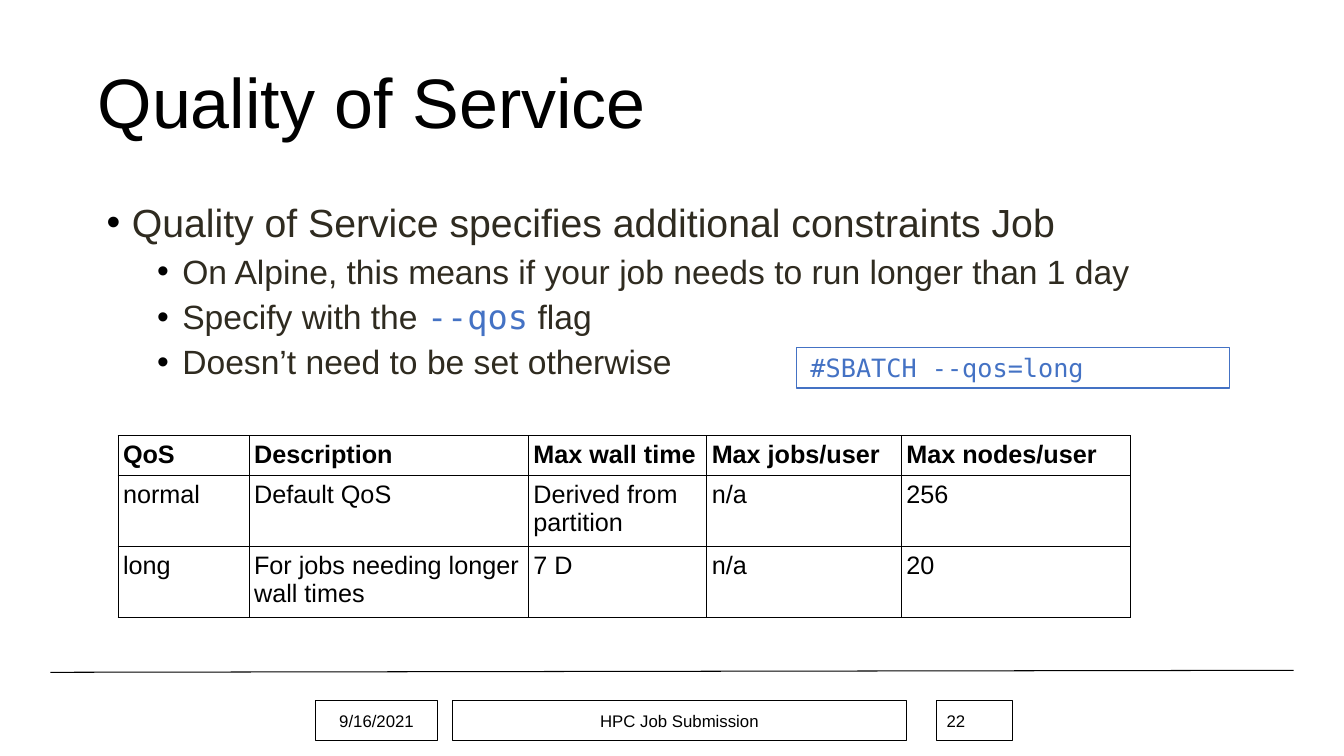
"""Build the Quality of Service slide."""
from pptx import Presentation
from pptx.dml.color import RGBColor
from pptx.enum.shapes import MSO_CONNECTOR, MSO_SHAPE
from pptx.enum.text import MSO_ANCHOR, PP_ALIGN
from pptx.oxml import parse_xml
from pptx.oxml.ns import nsdecls
from pptx.util import Inches, Pt

COLORS = {"black": "000000", "body": "2F2B20", "code": "4472C4"}
SANS, MONO = "Arial", "DejaVu Sans Mono"

TITLE = "Quality of Service"
BULLETS = [
    (0, [("Quality of Service specifies additional constraints Job", False)]),
    (1, [("On Alpine, this means if your job needs to run longer than 1 day", False)]),
    (1, [("Specify with the ", False), ("--qos", True), (" flag", False)]),
    (1, [("Doesn’t need to be set otherwise", False)]),
]
BULLET_LEVELS = [(28, 0.29, 0), (24, 0.79, 6.5)]
DIRECTIVE = "#SBATCH --qos=long"
QOS_ROWS = [
    ("QoS", "Description", "Max wall time", "Max jobs/user", "Max nodes/user"),
    ("normal", "Default QoS", "Derived from partition", "n/a", "256"),
    ("long", "For jobs needing longer wall times", "7 D", "n/a", "20"),
]
COLUMN_WIDTHS = [1.3, 2.77, 1.77, 1.93, 2.27]
ROW_HEIGHTS = [0.38, 0.65, 0.65]
FOOTER = [
    ("9/16/2021", 3.13, 1.21, PP_ALIGN.CENTER),
    ("HPC Job Submission", 4.49, 4.5, PP_ALIGN.CENTER),
    ("22", 9.29, 0.75, PP_ALIGN.LEFT),
]


def rgb(color):
    return RGBColor.from_string(COLORS[color])


def add_run(paragraph, text, size, color="black", font=SANS, bold=False):
    run = paragraph.add_run()
    run.text = text
    run.font.size = Pt(size)
    run.font.name = font
    run.font.bold = bold
    run.font.color.rgb = rgb(color)


def indent(paragraph, left, first=0):
    properties = paragraph._p.get_or_add_pPr()
    properties.set("marL", str(Inches(left)))
    properties.set("indent", str(Inches(first)))
    return properties


def add_text_frame(slide, left, top, width, height, anchor):
    box = slide.shapes.add_textbox(Inches(left), Inches(top), Inches(width), Inches(height))
    frame = box.text_frame
    frame.word_wrap = True
    frame.vertical_anchor = anchor
    return frame


def add_framed_box(slide, left, top, width, height, color, anchor, align):
    box = slide.shapes.add_shape(
        MSO_SHAPE.RECTANGLE, Inches(left), Inches(top), Inches(width), Inches(height))
    box.shadow.inherit = False
    box.fill.background()
    box.line.color.rgb = rgb(color)
    box.line.width = Pt(0.75)
    box.text_frame.word_wrap = True
    box.text_frame.vertical_anchor = anchor
    paragraph = box.text_frame.paragraphs[0]
    paragraph.alignment = align
    return paragraph


def add_rule(slide):
    rule = slide.shapes.add_connector(
        MSO_CONNECTOR.STRAIGHT, Inches(0.5), Inches(6.67), Inches(12.83), Inches(6.65))
    rule.line.color.rgb = rgb("black")
    rule.line.width = Pt(0.75)
    rule._element.spPr.append(parse_xml(f"<a:effectLst {nsdecls('a')}/>"))


def add_bullets(slide):
    frame = add_text_frame(slide, 0.92, 1.97, 11.83, 4.55, MSO_ANCHOR.TOP)
    for index, (level, pieces) in enumerate(BULLETS):
        paragraph = frame.add_paragraph() if index else frame.paragraphs[0]
        size, left, space = BULLET_LEVELS[level]
        paragraph.level = level
        paragraph.line_spacing = 0.9
        paragraph.space_before = Pt(space)
        properties = indent(paragraph, left, -0.25)
        for bullet in (
            f'<a:buClr {nsdecls("a")}><a:srgbClr val="{COLORS["black"]}"/></a:buClr>',
            f'<a:buFont {nsdecls("a")} typeface="{SANS}"/>',
            f'<a:buChar {nsdecls("a")} char="•"/>',
        ):
            properties.append(parse_xml(bullet))
        for text, is_code in pieces:
            color, font = ("code", MONO) if is_code else ("body", SANS)
            add_run(paragraph, text, size, color, font)


def fill_cell(cell, text, bold):
    cell.margin_left = cell.margin_right = Inches(0.05)
    cell.margin_top = cell.margin_bottom = Inches(0.05)
    properties = cell._tc.get_or_add_tcPr()
    for side in ("lnL", "lnR", "lnT", "lnB"):
        properties.append(parse_xml(
            f'<a:{side} {nsdecls("a")} w="{Pt(0.75)}"><a:solidFill>'
            f'<a:srgbClr val="{COLORS["black"]}"/></a:solidFill></a:{side}>'))
    cell.fill.background()
    add_run(cell.text_frame.paragraphs[0], text, 18, bold=bold)


def add_qos_table(slide):
    table = slide.shapes.add_table(
        len(QOS_ROWS), len(COLUMN_WIDTHS), Inches(1.17), Inches(4.32),
        Inches(sum(COLUMN_WIDTHS)), Inches(sum(ROW_HEIGHTS))).table
    table.first_row = table.horz_banding = False
    for column, width in zip(table.columns, COLUMN_WIDTHS):
        column.width = Inches(width)
    for row, height, texts in zip(table.rows, ROW_HEIGHTS, QOS_ROWS):
        row.height = Inches(height)
        for cell, text in zip(row.cells, texts):
            fill_cell(cell, text, bold=texts is QOS_ROWS[0])


def main():
    presentation = Presentation()
    presentation.slide_width, presentation.slide_height = Inches(13.33), Inches(7.5)
    slide = presentation.slides.add_slide(presentation.slide_layouts[6])
    add_rule(slide)
    heading = add_text_frame(slide, 0.87, 0.32, 11.5, 1.45, MSO_ANCHOR.MIDDLE).paragraphs[0]
    heading.line_spacing = 0.9
    add_run(heading, TITLE, 50)
    add_qos_table(slide)
    for text, left, width, align in FOOTER:
        footer = add_framed_box(
            slide, left, 6.95, width, 0.4, "black", MSO_ANCHOR.MIDDLE, align)
        add_run(footer, text, 12)
    add_bullets(slide)
    directive = add_framed_box(
        slide, 7.9, 3.45, 4.29, 0.4, "code", MSO_ANCHOR.TOP, PP_ALIGN.LEFT)
    indent(directive, 0.04)
    add_run(directive, DIRECTIVE, 18, "code", MONO)
    presentation.save("out.pptx")


if __name__ == "__main__":
    main()
